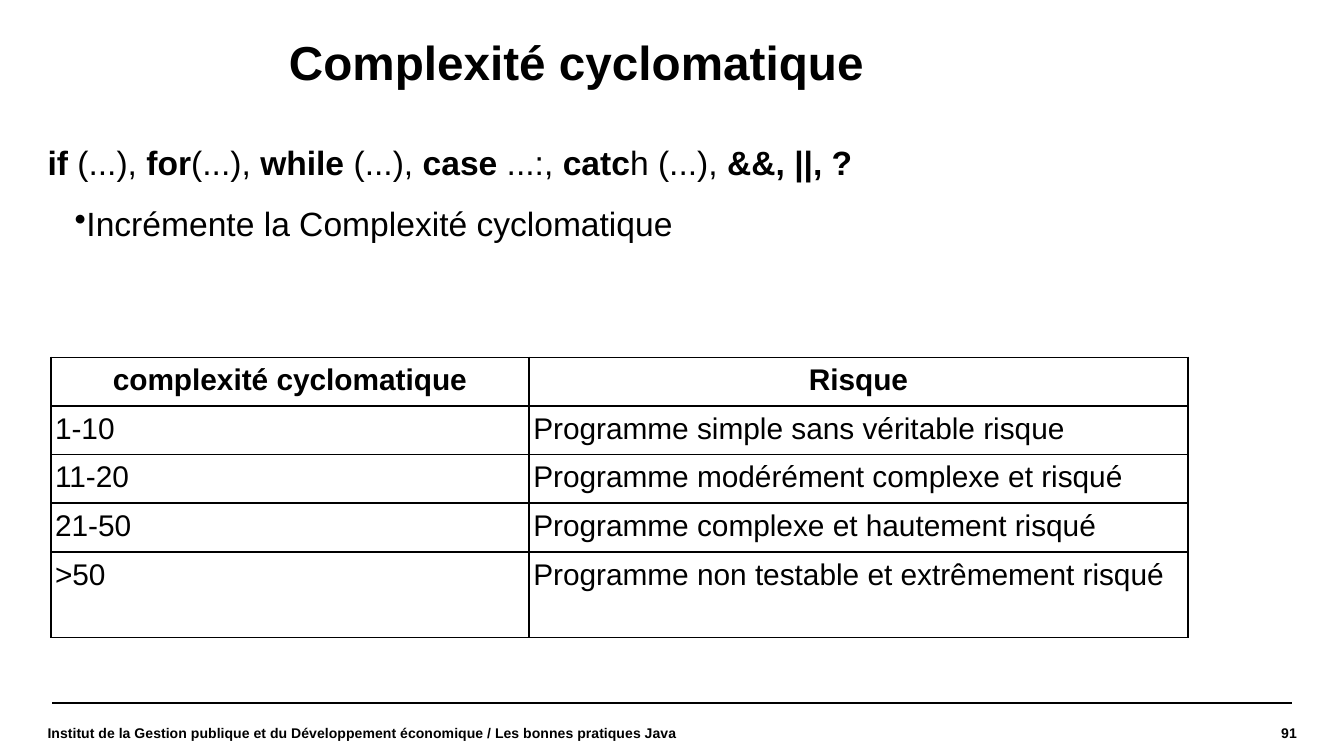
from lxml import etree
from pptx import Presentation
from pptx import util as u
from pptx.dml.color import RGBColor
from pptx.enum import shapes, text
from pptx.oxml import ns

BLACK = RGBColor(0x00, 0x00, 0x00)
FONT = "Arial"
LEFT = 0.9
FOOTER_TOP, FOOTER_HEIGHT = 13.34, 0.99


def write(paragraph, content, size=18, bold=False, color=BLACK):
    run = paragraph.add_run()
    run.text = content
    run.font.name = FONT
    run.font.size = u.Pt(size)
    run.font.bold = bold
    run.font.color.rgb = color


class SlideBuilder:
    """Draws black Arial text, rules and ruled tables on one slide, in centimetres."""

    def __init__(self, slide):
        self.slide = slide

    def text_box(self, left, top, width, height, anchor=text.MSO_ANCHOR.TOP):
        frame = self.slide.shapes.add_textbox(
            u.Cm(left), u.Cm(top), u.Cm(width), u.Cm(height)).text_frame
        frame.word_wrap = True
        frame.vertical_anchor = anchor
        frame.margin_left = frame.margin_right = 0
        frame.margin_top = frame.margin_bottom = 0
        return frame

    def bullet(self, frame, content):
        item = frame.add_paragraph()
        properties = item._p.get_or_add_pPr()
        properties.set("marL", str(u.Cm(0.71)))
        properties.set("indent", str(u.Cm(-0.2)))
        etree.SubElement(properties, ns.qn("a:buChar"), char="•")
        item.space_before = item.space_after = u.Pt(6)
        write(item, content)

    def footer(self, left, width, content, align):
        frame = self.text_box(left, FOOTER_TOP, width, FOOTER_HEIGHT, text.MSO_ANCHOR.MIDDLE)
        frame.paragraphs[0].alignment = align
        write(frame.paragraphs[0], content, size=7.5, bold=True)

    def rule(self, left, right, y):
        line = self.slide.shapes.add_connector(
            shapes.MSO_CONNECTOR.STRAIGHT, u.Cm(left), u.Cm(y), u.Cm(right), u.Cm(y))
        line.line.color.rgb = BLACK
        line.line.width = u.Pt(0.8)
        etree.SubElement(line._element.spPr, ns.qn("a:effectLst"))

    def border(self, cell):
        properties = cell._tc.get_or_add_tcPr()
        for index, side in enumerate(("lnL", "lnR", "lnT", "lnB")):
            edge = etree.Element(ns.qn(f"a:{side}"), w=str(u.Pt(0.96)))
            fill = etree.SubElement(edge, ns.qn("a:solidFill"))
            etree.SubElement(fill, ns.qn("a:srgbClr"), val=str(BLACK))
            properties.insert(index, edge)

    def table(self, left, top, widths, heights, rows):
        grid = self.slide.shapes.add_table(
            len(rows), len(widths), u.Cm(left), u.Cm(top),
            u.Cm(sum(widths)), u.Cm(sum(heights))).table
        grid.first_row = grid.horz_banding = False
        for column, width in zip(grid.columns, widths):
            column.width = u.Cm(width)
        for index, (height, row) in enumerate(zip(heights, rows)):
            grid.rows[index].height = u.Cm(height)
            header = index == 0
            for cell, content in zip(grid.rows[index].cells, row):
                cell.fill.background()
                cell.margin_left = cell.margin_right = u.Cm(0.08)
                cell.margin_top = cell.margin_bottom = u.Cm(0.12)
                entry = cell.text_frame.paragraphs[0]
                entry.alignment = text.PP_ALIGN.CENTER if header else text.PP_ALIGN.JUSTIFY
                write(entry, content, size=16, bold=header)
                self.border(cell)


def main():
    deck = Presentation()
    deck.slide_width, deck.slide_height = u.Cm(25.4), u.Cm(14.28)
    builder = SlideBuilder(deck.slides.add_slide(deck.slide_layouts[6]))

    builder.rule(0.99, 24.41, 13.28)

    title = builder.text_box(5.46, 0.74, 16.23, 1.22).paragraphs[0]
    title.line_spacing = 0.9
    write(title, "Complexité cyclomatique", size=25.5, bold=True)

    body = builder.text_box(LEFT, 2.69, 16.18, 3.45)
    keywords = body.paragraphs[0]
    keywords.space_after = u.Pt(5)
    pieces = ("if", " (...), ", "for", "(...), ", "while", " (...), ",
              "case", " ...:, ", "catc", "h (...), ", "&&, ||, ?")
    for index, piece in enumerate(pieces):
        write(keywords, piece, bold=index % 2 == 0)
    builder.bullet(body, "Incrémente la Complexité cyclomatique")

    risks = [
        ("complexité cyclomatique", "Risque"),
        ("1-10", "Programme simple sans véritable risque"),
        ("11-20", "Programme modérément complexe et risqué"),
        ("21-50", "Programme complexe et hautement risqué"),
        (">50", "Programme non testable et extrêmement risqué"),
    ]
    builder.table(0.96, 6.75, (9.04, 12.45), [0.81] * 4 + [1.62], risks)

    builder.footer(20.75, 3.76, "91", text.PP_ALIGN.RIGHT)
    builder.footer(LEFT, 12.3, "Institut de la Gestion publique et du Développement économique"
                   " / Les bonnes pratiques Java", text.PP_ALIGN.LEFT)

    deck.save("out.pptx")


if __name__ == "__main__":
    main()
